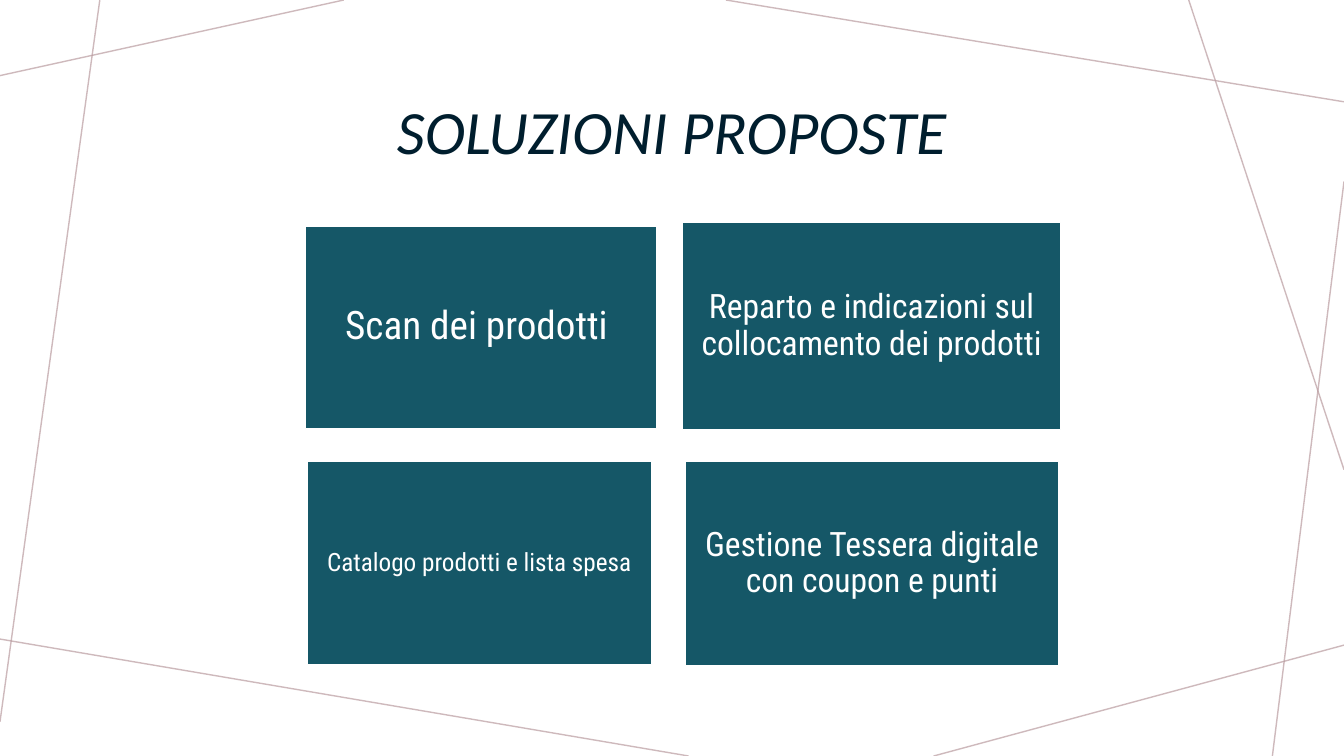
from dataclasses import dataclass

from lxml import etree
from pptx import Presentation
from pptx.dml.color import RGBColor
from pptx.enum.shapes import MSO_CONNECTOR, MSO_SHAPE
from pptx.enum.text import MSO_ANCHOR, PP_ALIGN
from pptx.oxml.ns import qn
from pptx.util import Inches, Pt

STRAIGHT = MSO_CONNECTOR.STRAIGHT
RECTANGLE = MSO_SHAPE.RECTANGLE
MIDDLE = MSO_ANCHOR.MIDDLE
CENTER = PP_ALIGN.CENTER
TITLE_ONLY = 5


@dataclass(frozen=True)
class Theme:
    white: RGBColor = RGBColor.from_string("FFFFFF")
    navy: RGBColor = RGBColor.from_string("001E2E")
    teal: RGBColor = RGBColor.from_string("155767")
    mauve: RGBColor = RGBColor.from_string("BA9CA0")
    title_font: str = "Calibri"
    card_font: str = "Roboto Condensed"
    title_size: int = 44
    large: int = 28
    medium: int = 24
    small: int = 18
    line_width: int = 1
    line_opacity: int = 70


THEME = Theme()

# Decorative lines: start x, start y, end x, end y
BACKGROUND_LINES = [
    (3.41, 0, 0, 0.75),
    (0.99, 0, 0, 7.16),
    (6.83, 7.5, 0, 6.34),
    (13.33, 6.4, 9.26, 7.5),
    (13.33, 1.8, 12.62, 7.5),
    (13.33, 4.66, 11.79, 0),
    (13.33, 1.01, 7.2, 0),
]

# Cards: box relative to the card region, text, size, inset
CARDS = [
    ((0, 0.03, 3.48, 2.01), "Scan dei prodotti ", THEME.large, 0.12),
    ((0.02, 2.37, 3.41, 2.01), "Catalogo prodotti e lista spesa", THEME.small, 0.07),
    ((3.74, 0, 3.75, 2.05),
     "Reparto e indicazioni sul collocamento dei prodotti", THEME.medium, 0.1),
    ((3.77, 2.37, 3.7, 2.02),
     "Gestione Tessera digitale con coupon e punti", THEME.medium, 0.1),
]


def set_attributes(target, values):
    for name, value in values.items():
        setattr(target, name, value)


def write_text(shape, text, color, font_format, inset):
    frame = shape.text_frame
    frame.text = text
    margins = {f"margin_{side}": Inches(inset)
               for side in ("left", "top", "right", "bottom")}
    set_attributes(frame, {"word_wrap": True, "vertical_anchor": MIDDLE, **margins})
    para = frame.paragraphs[0]
    set_attributes(para, {"alignment": CENTER, "line_spacing": 0.9})
    span = para.runs[0]
    set_attributes(span.font, font_format)
    span.font.color.rgb = color


def add_background_lines(page, left, top):
    for start_x, start_y, end_x, end_y in BACKGROUND_LINES:
        line = page.shapes.add_connector(
            STRAIGHT, Inches(left + start_x), Inches(top + start_y),
            Inches(left + end_x), Inches(top + end_y))
        line.line.width = Pt(THEME.line_width)
        line.line.color.rgb = THEME.mauve
        # Opacity and no shadow
        properties = line._element.spPr
        color = properties.find(".//" + qn("a:srgbClr"))
        etree.SubElement(color, qn("a:alpha"), val=str(THEME.line_opacity * 1000))
        etree.SubElement(properties, qn("a:effectLst"))


def add_title(page, left, top, width, height):
    title = page.shapes.title
    set_attributes(title, {"left": Inches(left), "top": Inches(top),
                           "width": Inches(width), "height": Inches(height)})
    font_format = {"name": THEME.title_font, "size": Pt(THEME.title_size), "italic": True}
    write_text(title, "SOLUZIONI PROPOSTE", THEME.navy, font_format, 0.05)


def add_cards(page, left, top):
    for (x, y, width, height), text, size, inset in CARDS:
        card = page.shapes.add_shape(RECTANGLE, Inches(left + x), Inches(top + y),
                                     Inches(width), Inches(height))
        card.shadow.inherit = False
        card.fill.solid()
        card.fill.fore_color.rgb = THEME.teal
        card.line.color.rgb = THEME.white
        card.line.width = Pt(THEME.line_width)
        font_format = {"name": THEME.card_font, "size": Pt(size)}
        write_text(card, text, THEME.white, font_format, inset)


def build_solutions_slide(deck):
    page = deck.slides.add_slide(deck.slide_layouts[TITLE_ONLY])
    page.background.fill.solid()
    page.background.fill.fore_color.rgb = THEME.white
    add_background_lines(page, 0, 0)
    add_title(page, 1.25, 0.58, 10.83, 1.51)
    add_cards(page, 3.03, 2.21)


deck = Presentation()
set_attributes(deck, {"slide_width": Inches(13.33), "slide_height": Inches(7.5)})
build_solutions_slide(deck)
deck.save("out.pptx")
